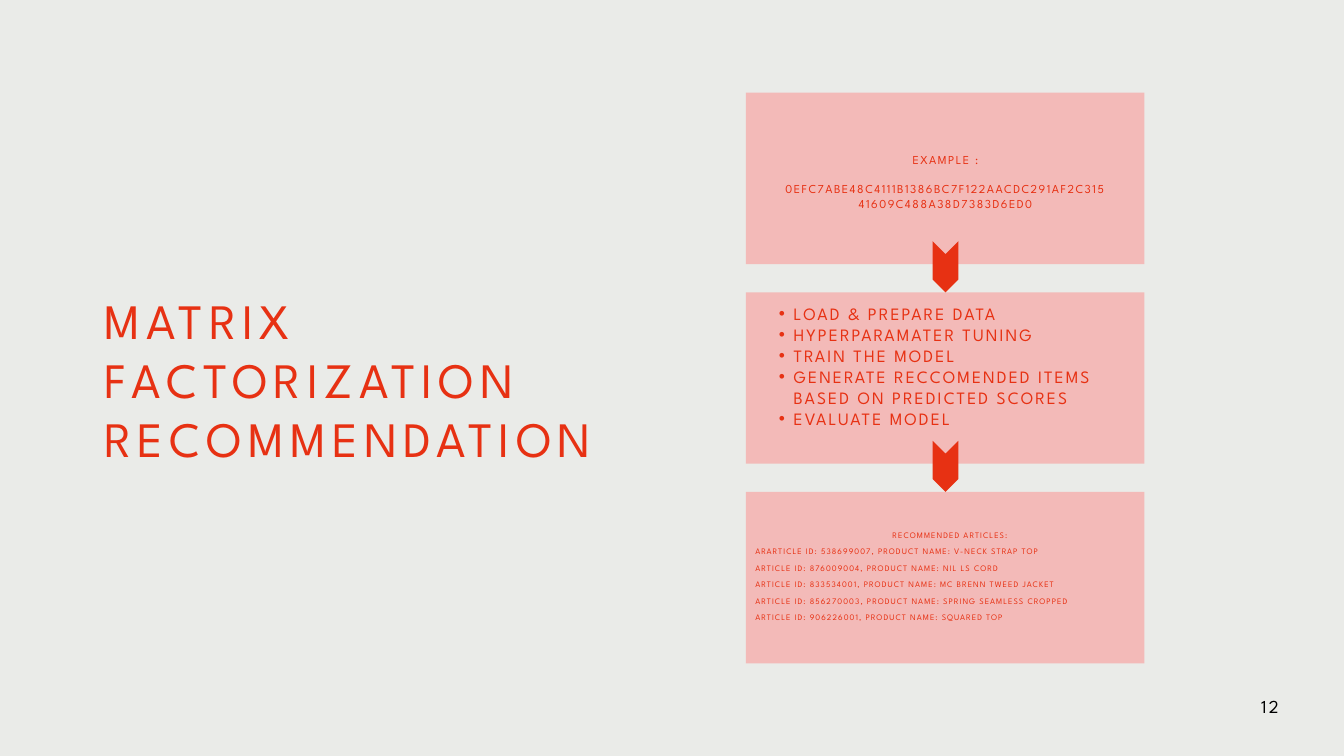
from dataclasses import dataclass

from lxml.etree import SubElement
from pptx import Presentation
from pptx.dml.color import RGBColor
from pptx.enum.shapes import MSO_SHAPE
from pptx.enum.text import MSO_ANCHOR, MSO_AUTO_SIZE, PP_ALIGN
from pptx.oxml.ns import qn
from pptx.util import Inches, Pt


@dataclass(frozen=True)
class Theme:
    """Colours, font and type sizes of the slide."""
    background: str = "EAEBE8"
    panel: str = "F3BAB8"
    accent: str = "E73113"
    number: str = "000000"
    font: str = "League Spartan"
    title_size: float = 53
    number_size: float = 19.6
    list_size: float = 18.6
    example_size: float = 13
    article_size: float = 9


THEME = Theme()
SLIDE_WIDTH, SLIDE_HEIGHT = 20, 11.25
PANEL_LEFT, PANEL_TOP, PANEL_WIDTH, PANEL_HEIGHT = 55.5, 12.27, 29.65, 22.67
PANEL_PITCH = 26.4
CHEVRON_LEFT, CHEVRON_TOP, CHEVRON_WIDTH, CHEVRON_HEIGHT = 68.45, 33.6, 3.8, 3.38

TITLE = ["MATRIX FACTORIZATION", "RECOMMENDATION"]
EXAMPLE = [
    "EXAMPLE :",
    "0EFC7ABE48C4111B1386BC7F122AACDC291AF2C31541609C488A38D7383D6ED0",
]
STEPS = [
    "LOAD & PREPARE DATA",
    "HYPERPARAMATER TUNING",
    "TRAIN THE MODEL",
    "GENERATE RECCOMENDED ITEMS BASED ON PREDICTED SCORES",
    "EVALUATE MODEL",
]
ARTICLES = [
    "RECOMMENDED ARTICLES:",
    "ARARTICLE ID: 538699007, PRODUCT NAME: V-NECK STRAP TOP",
    "ARTICLE ID: 876009004, PRODUCT NAME: NIL LS CORD",
    "ARTICLE ID: 833534001, PRODUCT NAME: MC BRENN TWEED JACKET",
    "ARTICLE ID: 856270003, PRODUCT NAME: SPRING SEAMLESS CROPPED",
    "ARTICLE ID: 906226001, PRODUCT NAME: SQUARED TOP",
]


def area(left, top, width, height):
    """Turn percentages of the slide's size into lengths."""
    return (Inches(SLIDE_WIDTH * left / 100), Inches(SLIDE_HEIGHT * top / 100),
            Inches(SLIDE_WIDTH * width / 100), Inches(SLIDE_HEIGHT * height / 100))


def add_block(slide, preset, place, color, rotation=0):
    """Add a plain filled shape without outline or shadow."""
    shape = slide.shapes.add_shape(preset, *area(*place))
    shape.shadow.inherit = False
    shape.fill.solid()
    shape.fill.fore_color.rgb = RGBColor.from_string(color)
    shape.line.fill.background()
    shape.rotation = rotation


def add_bullet(paragraph):
    """Give a paragraph a round bullet and a hanging indent."""
    paragraph.level = 1
    properties = paragraph._p.get_or_add_pPr()
    properties.set("marL", str(Inches(0.44)))
    properties.set("indent", str(Inches(-0.22)))
    SubElement(properties, qn("a:buChar")).set("char", "•")


def write(shape, lines, *, size, leading, spacing, color=THEME.accent,
          align=PP_ALIGN.LEFT, first_align=None, gap=0, bullets=False):
    """Fill a shape with one formatted paragraph for each line."""
    frame = shape.text_frame
    frame.word_wrap = True
    frame.auto_size = MSO_AUTO_SIZE.NONE
    frame.vertical_anchor = MSO_ANCHOR.TOP
    frame.margin_left = frame.margin_right = 0
    frame.margin_top = frame.margin_bottom = 0
    for index, line in enumerate(lines):
        paragraph = frame.add_paragraph() if index else frame.paragraphs[0]
        if bullets:
            add_bullet(paragraph)
        paragraph.alignment = align if index or first_align is None else first_align
        paragraph.line_spacing = Pt(leading)
        paragraph.space_before = Pt(gap if index else 0)
        run = paragraph.add_run()
        run.text = line
        run.font.name = THEME.font
        run.font.size = Pt(size)
        run.font.color.rgb = RGBColor.from_string(color)
        run.font._element.set("spc", str(round(spacing * 100)))


def add_text(slide, place, lines, **text_format):
    """Add a text box and write the lines in it."""
    write(slide.shapes.add_textbox(*area(*place)), lines, **text_format)


def fill_placeholder(placeholder, place, lines, **text_format):
    """Move a placeholder and write the lines in it."""
    placeholder.left, placeholder.top, placeholder.width, placeholder.height = area(*place)
    write(placeholder, lines, **text_format)


def add_flow(slide, steps):
    """Stack the panels and join them with downward chevrons."""
    for step in range(steps):
        offset = step * PANEL_PITCH
        add_block(slide, MSO_SHAPE.RECTANGLE,
                  (PANEL_LEFT, PANEL_TOP + offset, PANEL_WIDTH, PANEL_HEIGHT), THEME.panel)
    for step in range(steps - 1):
        top = CHEVRON_TOP + step * PANEL_PITCH
        add_block(slide, MSO_SHAPE.CHEVRON,
                  (CHEVRON_LEFT, top, CHEVRON_WIDTH, CHEVRON_HEIGHT), THEME.accent, rotation=90)


def main():
    """Build the slide and save it."""
    presentation = Presentation()
    presentation.slide_width = Inches(SLIDE_WIDTH)
    presentation.slide_height = Inches(SLIDE_HEIGHT)
    slide = presentation.slides.add_slide(presentation.slide_layouts[1])
    slide.background.fill.solid()
    slide.background.fill.fore_color.rgb = RGBColor.from_string(THEME.background)
    title, body = slide.placeholders
    add_flow(slide, 3)
    slide.shapes._spTree.append(body._element)
    fill_placeholder(title, (7.8, 38.31, 44.95, 23.29), TITLE,
                     size=THEME.title_size, leading=63.6, spacing=6.4)
    fill_placeholder(body, (56.85, 40.09, 26.95, 21.51), STEPS,
                     size=THEME.list_size, leading=22.4, spacing=2.2, bullets=True)
    add_text(slide, (58.2, 20.18, 24.3, 7.82), EXAMPLE, size=THEME.example_size,
             leading=15.6, spacing=1.6, align=PP_ALIGN.CENTER, gap=15.6)
    add_text(slide, (56.2, 69.24, 28.95, 14.58), ARTICLES, size=THEME.article_size,
             leading=17.7, spacing=1.1, first_align=PP_ALIGN.CENTER)
    add_text(slide, (93.55, 92, 1.9, 2.84), ["12"], size=THEME.number_size,
             leading=23.6, spacing=2.4, color=THEME.number, align=PP_ALIGN.CENTER)
    presentation.save("out.pptx")


if __name__ == "__main__":
    main()
